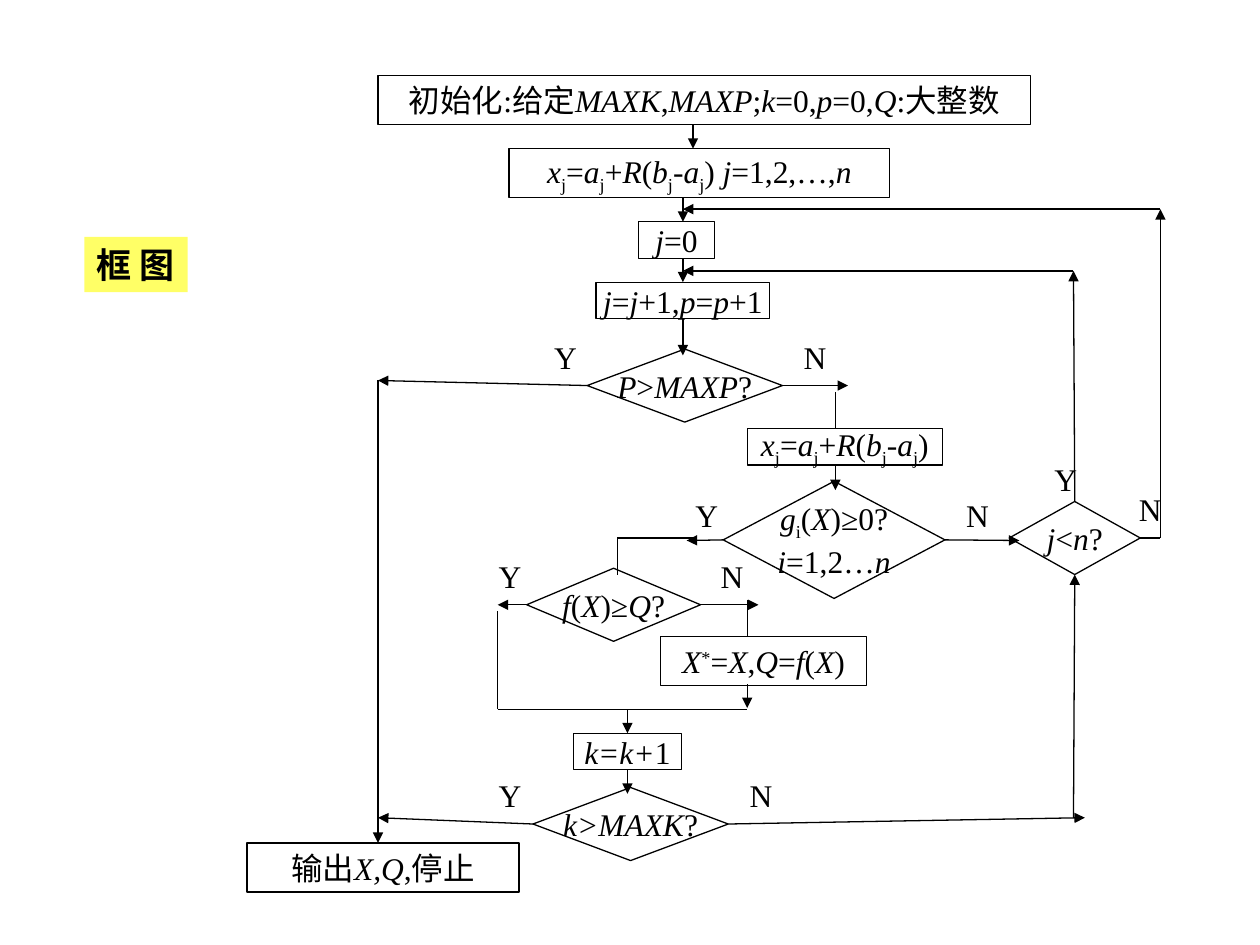
import pptx
import pptx.util
import pptx.dml.color
import pptx.enum.shapes
import pptx.enum.text
import pptx.oxml.ns
from lxml import etree

PX = 9144
BLACK = pptx.dml.color.RGBColor(0x00, 0x00, 0x00)
YELLOW = pptx.dml.color.RGBColor(0xFF, 0xFF, 0x66)
FONT = "Times New Roman"
RECT = pptx.enum.shapes.MSO_SHAPE.RECTANGLE
TEST = pptx.enum.shapes.MSO_SHAPE.FLOWCHART_DECISION
LEFT = pptx.enum.text.PP_ALIGN.LEFT
MID = pptx.enum.text.PP_ALIGN.CENTER
SHIFT = {"_": "-25000", "^": "30000"}


def write(shape, text, align, size=18, bold=False):
    frame = shape.text_frame
    frame.word_wrap = False
    for row, line in enumerate(text.split("\n")):
        para = frame.add_paragraph() if row else frame.paragraphs[0]
        para.alignment = align
        para.font.name = FONT
        para.font.size = pptx.util.Pt(size)
        para.font.bold = bold
        para.font.color.rgb = BLACK
        for part in line.split("|"):
            run = para.add_run()
            mark = part[0]
            run.text = part[1:] if mark in "~_^" else part
            if mark == "~":
                run.font.italic = True
            if mark in SHIFT:
                run.font._element.set("baseline", SHIFT[mark])


def block(kind, left, top, width, height):
    shape = slide.shapes.add_shape(kind, left * PX, top * PX, width * PX, height * PX)
    shape.shadow.inherit = False
    shape.fill.background()
    shape.line.color.rgb = BLACK
    shape.line.width = pptx.util.Pt(0.75)
    return shape


deck = pptx.Presentation()
deck.slide_width = 1000 * PX
deck.slide_height = 750 * PX
slide = deck.slides.add_slide(deck.slide_layouts[6])

head = block(RECT, 67, 188, 82, 44)
head.fill.solid()
head.fill.fore_color.rgb = YELLOW
head.line.fill.background()
head.text_frame.vertical_anchor = pptx.enum.text.MSO_ANCHOR.TOP
write(head, "框 图", LEFT, 20, True)

rule = "~x|_j|=|~a|_j|+|~R|(|~b|_j|-|~a|_j|)"
steps = [
    (RECT, 300, 60, 518, 39, "初始化:给定|~MAXK|,|~MAXP|;|~k|=0,|~p|=0,|~Q|:大整数"),
    (RECT, 404, 118, 302, 39, rule + " |~j|=1,2,…,|~n"),
    (RECT, 507, 176, 60, 29, "~j|=0"),
    (RECT, 473, 224, 138, 29, "~j|=|~j|+1,|~p|=|~p|+1"),
    (TEST, 466, 277, 155, 58, "~P|>|~MAXP|?"),
    (RECT, 593, 340, 155, 29, rule),
    (TEST, 574, 382, 176, 93, "~g|_i|(|~X|)≥0?\n~i|=1,2…|~n"),
    (TEST, 801, 398, 104, 58, "~j|<|~n|?"),
    (TEST, 418, 451, 138, 58, "~f|(|~X|)≥|~Q|?"),
    (RECT, 524, 505, 164, 39, "~X|^*|=|~X|,|~Q|=|~f|(|~X|)"),
    (RECT, 455, 582, 86, 29, "~k=k+|1"),
    (TEST, 423, 625, 155, 58, "~k>MAXK|?"),
    (RECT, 196, 669, 216, 39, "输出|~X,Q|,停止"),
]
sites = []
for kind, left, top, width, height, text in steps:
    shape = block(kind, left, top, width, height)
    shape.text_frame.vertical_anchor = pptx.enum.text.MSO_ANCHOR.MIDDLE
    write(shape, text, MID)
    x, y = left + width / 2, top + height / 2
    spots = [(x, top), (left, y), (x, top + height), (left + width, y)]
    sites += [(shape, side, *spot) for side, spot in enumerate(spots)]

arrows = [
    (550, 99, 550, 118), (542, 157, 542, 176), (542, 205, 542, 224),
    (542, 253, 542, 282), (466, 306, 300, 302), (621, 306, 673, 306),
    (663, 369, 663, 389), (574, 429, 545, 429), (750, 429, 809, 429),
    (852, 398, 852, 215), (852, 215, 542, 215), (921, 427, 921, 166),
    (921, 166, 542, 166), (418, 480, 395, 480), (556, 480, 602, 480),
    (593, 543, 593, 562), (498, 563, 498, 582), (498, 611, 498, 630),
    (423, 654, 300, 649), (578, 654, 861, 649), (300, 302, 300, 669),
    (852, 649, 852, 456),
]
plain = [
    (663, 311, 663, 340), (904, 427, 921, 427), (490, 427, 490, 456),
    (550, 427, 490, 427), (593, 476, 593, 505), (395, 485, 395, 563),
    (395, 563, 593, 563),
]
for ends in arrows + plain:
    wire = slide.shapes.add_connector(
        pptx.enum.shapes.MSO_CONNECTOR.STRAIGHT, *[end * PX for end in ends])
    wire.line.color.rgb = BLACK
    wire.line.width = pptx.util.Pt(0.75)
    if ends in arrows:
        tip = etree.SubElement(wire.line._get_or_add_ln(), pptx.oxml.ns.qn("a:tailEnd"))
        tip.set("type", "triangle")
    etree.SubElement(wire._element.spPr, pptx.oxml.ns.qn("a:effectLst"))
    for shape, side, x, y in sites:
        if max(abs(ends[0] - x), abs(ends[1] - y)) <= 1:
            wire.begin_connect(shape, side)
        if max(abs(ends[2] - x), abs(ends[3] - y)) <= 1:
            wire.end_connect(shape, side)

signs = [
    ("Y", 430, 263), ("N", 628, 263), ("Y", 542, 389), ("N", 757, 389),
    ("Y", 386, 437), ("N", 562, 437), ("Y", 386, 611), ("N", 585, 611),
    ("Y", 827, 360), ("N", 894, 384),
]
for text, left, top in signs:
    sign = slide.shapes.add_textbox(left * PX, top * PX, 38 * PX, 40 * PX)
    write(sign, text, LEFT)

deck.save("out.pptx")
